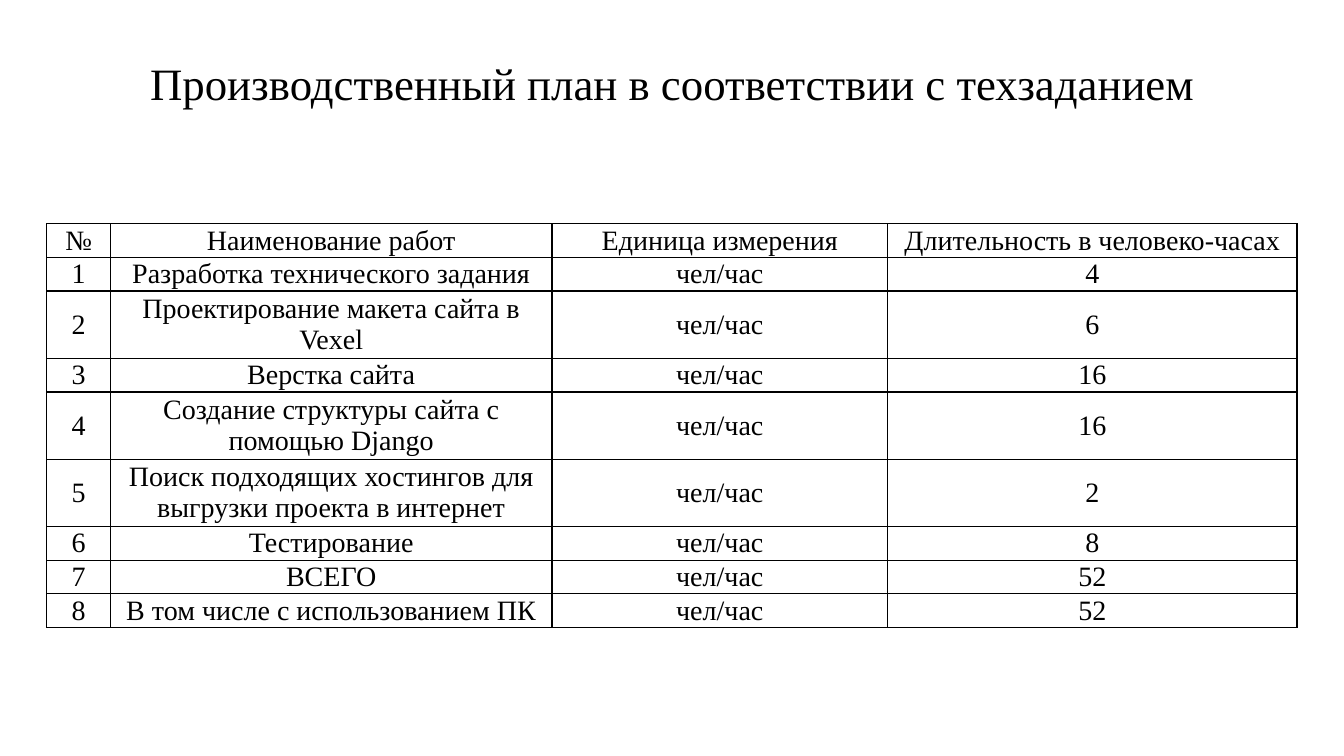
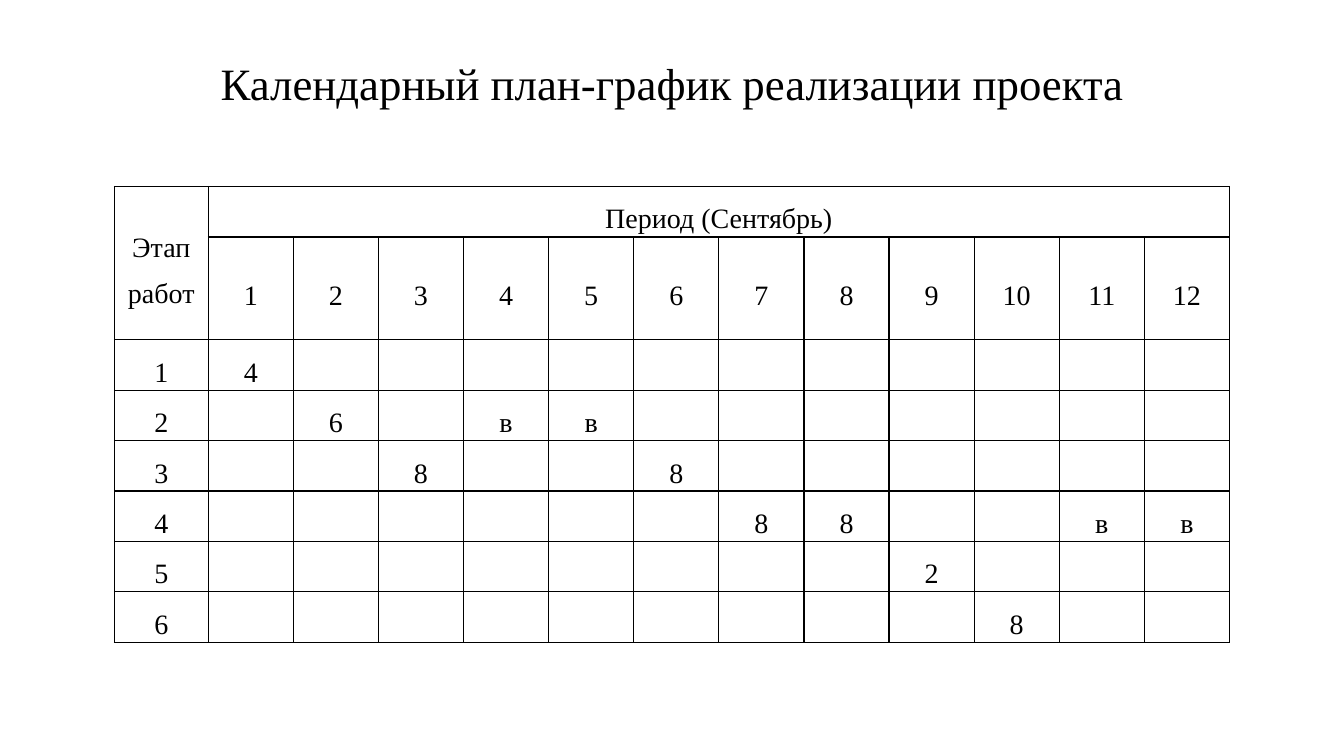
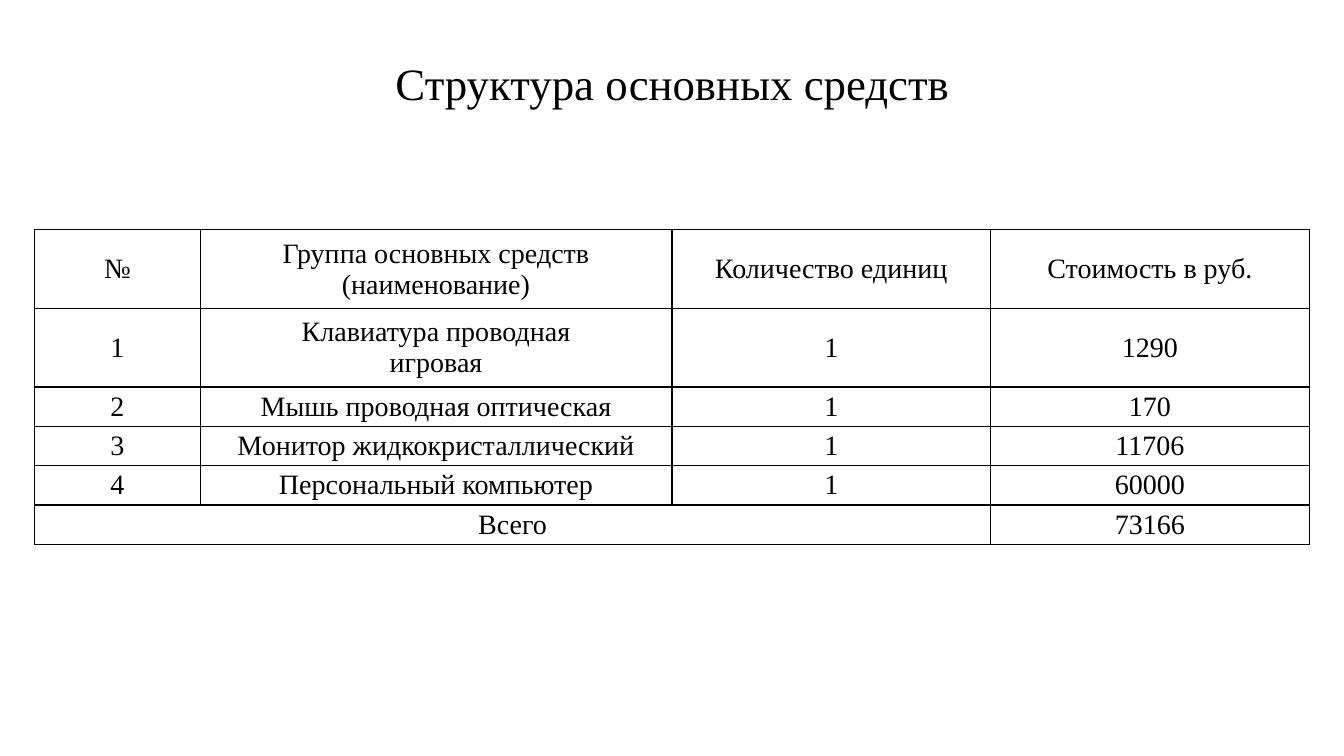
import pptx
import pptx.dml.color
import pptx.enum.text
import pptx.oxml
import pptx.oxml.ns
import pptx.util

SLIDE_WIDTH, SLIDE_HEIGHT = 13.33, 7.5
FONT = "Times New Roman"
INK = "000000"
TITLE_SIZE, CELL_SIZE = 32, 20
TITLE_BOX = (0.92, 0.4, 11.5, 0.9)
BORDER_WIDTH = 1


def color(hex_string):
    """Return the colour for a hex string."""
    return pptx.dml.color.RGBColor.from_string(hex_string)


def format_text(text_frame, size, line_spacing=None):
    """Centre the paragraphs and style their runs."""
    for paragraph in text_frame.paragraphs:
        paragraph.alignment = pptx.enum.text.PP_ALIGN.CENTER
        paragraph.line_spacing = line_spacing
        for run in paragraph.runs:
            run.font.name = FONT
            run.font.size = pptx.util.Pt(size)
            run.font.color.rgb = color(INK)


def add_titled_slide(presentation, title):
    """Add a blank slide with the shared title style."""
    slide = presentation.slides.add_slide(presentation.slide_layouts[6])
    box = slide.shapes.add_textbox(*map(pptx.util.Inches, TITLE_BOX))
    text_frame = box.text_frame
    text_frame.word_wrap = True
    text_frame.vertical_anchor = pptx.enum.text.MSO_ANCHOR.MIDDLE
    text_frame.text = title
    format_text(text_frame, TITLE_SIZE, 0.9)
    return slide


def add_borders(cell):
    """Draw a thin line on all four sides of a cell."""
    properties = cell._tc.get_or_add_tcPr()
    namespace = pptx.oxml.ns.nsdecls("a")
    for side in ("lnL", "lnR", "lnT", "lnB"):
        properties.append(pptx.oxml.parse_xml(
            f'<a:{side} {namespace} w="{pptx.util.Pt(BORDER_WIDTH)}">'
            f'<a:solidFill><a:srgbClr val="{INK}"/></a:solidFill></a:{side}>'))


def format_cell(cell, text, side_margin, line_spacing):
    """Fill in one cell with text, margins and borders."""
    cell.margin_left = cell.margin_right = pptx.util.Inches(side_margin)
    cell.margin_top = cell.margin_bottom = 0
    cell.vertical_anchor = pptx.enum.text.MSO_ANCHOR.MIDDLE
    cell.text_frame.text = text
    format_text(cell.text_frame, CELL_SIZE, line_spacing)
    add_borders(cell)
    cell.fill.background()


def add_grid(slide, top, widths, heights, rows, merges=(), side_margin=0.14, line_spacing=None):
    """Add a bordered table centred across the slide."""
    width = sum(widths)
    frame = (SLIDE_WIDTH - width) / 2, top, width, sum(heights)
    table = slide.shapes.add_table(len(rows), len(widths), *map(pptx.util.Inches, frame)).table
    table.first_row = table.horz_banding = False
    for column, column_width in zip(table.columns, widths):
        column.width = pptx.util.Inches(column_width)
    for row, height in zip(table.rows, heights):
        row.height = pptx.util.Inches(height)
    for row_index, row in enumerate(rows):
        for column_index, text in enumerate(row):
            format_cell(table.cell(row_index, column_index), text, side_margin, line_spacing)
    for first, last in merges:
        table.cell(*first).merge(table.cell(*last))


def add_production_plan(presentation):
    """Build the slide with the list of works and their duration."""
    works = [
        ("Разработка технического задания", 4, 1),
        ("Проектирование макета сайта в Vexel", 6, 2),
        ("Верстка сайта", 16, 1),
        ("Создание структуры сайта с помощью Django", 16, 2),
        ("Поиск подходящих хостингов для выгрузки проекта в интернет", 2, 2),
        ("Тестирование", 8, 1),
        ("ВСЕГО", 52, 1),
        ("В том числе с использованием ПК", 52, 1),
    ]
    rows = [("№", "Наименование работ", "Единица измерения", "Длительность в человеко-часах")]
    rows += [(str(number), name, "чел/час", str(hours))
             for number, (name, hours, _) in enumerate(works, 1)]
    heights = [0.31] + [0.31 * lines for _, _, lines in works]
    slide = add_titled_slide(presentation, "Производственный план в соответствии с техзаданием")
    add_grid(slide, 2.22, (0.63, 4.38, 3.33, 4.06), heights, rows)


def add_calendar(presentation):
    """Build the slide with the hours of each stage by day."""
    days = range(1, 13)
    stages = [
        {1: "4"},
        {2: "6", 4: "в", 5: "в"},
        {3: "8", 6: "8"},
        {7: "8", 8: "8", 11: "в", 12: "в"},
        {9: "2"},
        {10: "8"},
    ]
    rows = [["Этап работ", "Период (Сентябрь)"] + [""] * (len(days) - 1),
            [""] + [str(day) for day in days]]
    rows += [[str(number)] + [stage.get(day, "") for day in days]
             for number, stage in enumerate(stages, 1)]
    widths = [0.93] + [10.13 / len(days)] * len(days)
    heights = [0.5, 1.02] + [0.5] * len(stages)
    merges = [((0, 0), (1, 0)), ((0, 1), (0, len(days)))]
    slide = add_titled_slide(presentation, "Календарный план-график реализации проекта")
    add_grid(slide, 1.85, widths, heights, rows, merges, 0.13, 1.5)


def add_assets(presentation):
    """Build the slide with the equipment and its cost."""
    rows = [
        ("№", "Группа основных средств (наименование)", "Количество единиц", "Стоимость в руб."),
        ("1", "Клавиатура проводная\nигровая", "1", "1290"),
        ("2", "Мышь проводная оптическая", "1", "170"),
        ("3", "Монитор жидкокристаллический", "1", "11706"),
        ("4", "Персональный компьютер", "1", "60000"),
        ("Всего", "", "", "73166"),
    ]
    heights = [0.78] * 2 + [0.39] * 4
    slide = add_titled_slide(presentation, "Структура основных средств")
    add_grid(slide, 2.28, (1.64, 4.68, 3.16, 3.16), heights, rows, [((5, 0), (5, 2))])


def main():
    """Build and save the presentation."""
    presentation = pptx.Presentation()
    presentation.slide_width = pptx.util.Inches(SLIDE_WIDTH)
    presentation.slide_height = pptx.util.Inches(SLIDE_HEIGHT)
    add_production_plan(presentation)
    add_calendar(presentation)
    add_assets(presentation)
    presentation.save("out.pptx")


if __name__ == "__main__":
    main()
